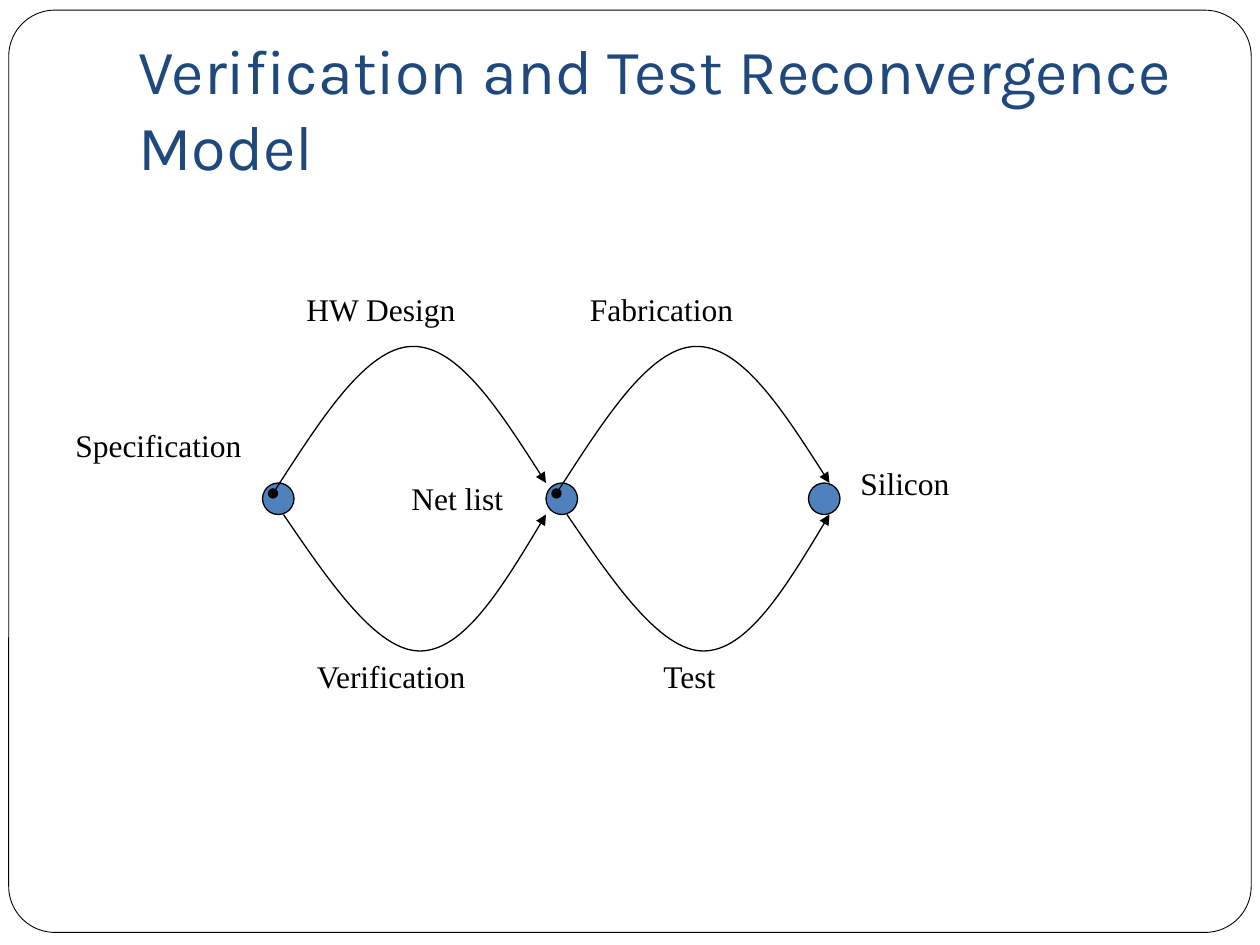
from typing import NamedTuple

from lxml.etree import SubElement
from pptx import Presentation
from pptx.dml.color import RGBColor
from pptx.enum.shapes import MSO_SHAPE as Preset
from pptx.enum.text import MSO_ANCHOR as Anchor, MSO_AUTO_SIZE as AutoSize
from pptx.oxml.ns import qn
from pptx.util import Pt

BLACK, WHITE, NODE_BLUE, TITLE_BLUE = "000000", "FFFFFF", "4F81BD", "1F497D"
NODE_LEFTS, NODE_TOP, NODE_SIZE = (150, 312, 462), 276, 18
STAGE_SHIFTS = (0, 162)


class Box(NamedTuple):
    left: float
    top: float
    width: float
    height: float


class Label(NamedTuple):
    text: str
    box: Box


class Arc(NamedTuple):
    """Start point followed by two cubic segments of three points each."""
    points: tuple
    ends: dict


TITLE = Label("Verification and Test Reconvergence Model", Box(72, 21.6, 612, 90))
LABELS = (
    Label("Specification", Box(36, 240, 141, 36)),
    Label("Silicon", Box(484.5, 261.5, 82, 36)),
    Label("Verification", Box(174, 372, 130, 36)),
    Label("HW Design", Box(168, 162, 128, 36)),
    Label("Net list", Box(228, 270, 84, 36)),
    Label("Test", Box(372, 372, 55.5, 36)),
    Label("Fabrication", Box(330, 162, 124, 36)),
)
ARCS = (
    Arc(((156, 282), (182.8, 240.5), (209.3, 198.7), (235.4, 198),
         (261.4, 197.3), (286.6, 236.2), (312, 276)),
        {"headEnd": "oval", "tailEnd": "triangle"}),
    Arc(((162, 294), (188.6, 333), (215.3, 372), (240, 372),
         (265, 372), (288.7, 333), (312, 294)),
        {"tailEnd": "triangle"}),
)


def color(value: str) -> RGBColor:
    return RGBColor.from_string(value)


def lengths(values) -> list:
    return [Pt(value) for value in values]


def set_values(target, values: dict) -> None:
    for name, value in values.items():
        setattr(target, name, value)


def style_line(shape, width: float) -> None:
    shape.shadow.inherit = False
    shape.line.color.rgb = color(BLACK)
    shape.line.width = Pt(width)


def add_preset(slide, preset, box: Box, fill: str, line_width: float):
    shape = slide.shapes.add_shape(preset, *lengths(box))
    shape.fill.solid()
    shape.fill.fore_color.rgb = color(fill)
    style_line(shape, line_width)
    return shape


def add_text(slide, label: Label, frame_format: dict, font_format: dict, ink: str) -> None:
    frame = slide.shapes.add_textbox(*lengths(label.box)).text_frame
    set_values(frame, frame_format)
    paragraph = frame.paragraphs[0]
    run = paragraph.add_run()
    run.text = label.text
    set_values(run.font, font_format)
    run.font.color.rgb = color(ink)


def add_arc(slide, arc: Arc, shift: float) -> None:
    start, *others = [(Pt(x + shift), Pt(y)) for x, y in arc.points]
    builder = slide.shapes.build_freeform(*start)
    builder.add_line_segments(others, close=False)
    shape = builder.convert_to_shape()
    shape.fill.background()
    style_line(shape, 0.75)
    bend_segments(shape)
    for tag, kind in arc.ends.items():
        SubElement(shape.line._get_or_add_ln(), qn(f"a:{tag}"), type=kind)


def bend_segments(shape) -> None:
    """Turn every three straight segments into one cubic curve."""
    path = next(shape._element.iter(qn("a:path")))
    segments = path.findall(qn("a:lnTo"))
    for first in range(0, len(segments), 3):
        curve = SubElement(path, qn("a:cubicBezTo"))
        for segment in segments[first:first + 3]:
            curve.append(segment[0])
            path.remove(segment)


def main() -> None:
    presentation = Presentation()
    set_values(presentation, {"slide_width": Pt(720), "slide_height": Pt(540)})
    slide = presentation.slides.add_slide(presentation.slide_layouts[6])

    border = add_preset(slide, Preset.ROUNDED_RECTANGLE, Box(5, 5.8, 710, 527), WHITE, 0.5)
    border.adjustments[0] = 0.05
    add_text(slide, TITLE,
             {"word_wrap": True, "vertical_anchor": Anchor.BOTTOM, "margin_bottom": Pt(7.2)},
             {"name": "Karla", "size": Pt(36)}, TITLE_BLUE)

    for left in NODE_LEFTS:
        add_preset(slide, Preset.OVAL, Box(left, NODE_TOP, NODE_SIZE, NODE_SIZE), NODE_BLUE, 0.75)
    for shift in STAGE_SHIFTS:
        for arc in ARCS:
            add_arc(slide, arc, shift)
    for label in LABELS:
        add_text(slide, label,
                 {"word_wrap": False, "auto_size": AutoSize.SHAPE_TO_FIT_TEXT},
                 {"name": "Times New Roman", "size": Pt(18)}, BLACK)

    presentation.save("out.pptx")


if __name__ == "__main__":
    main()
